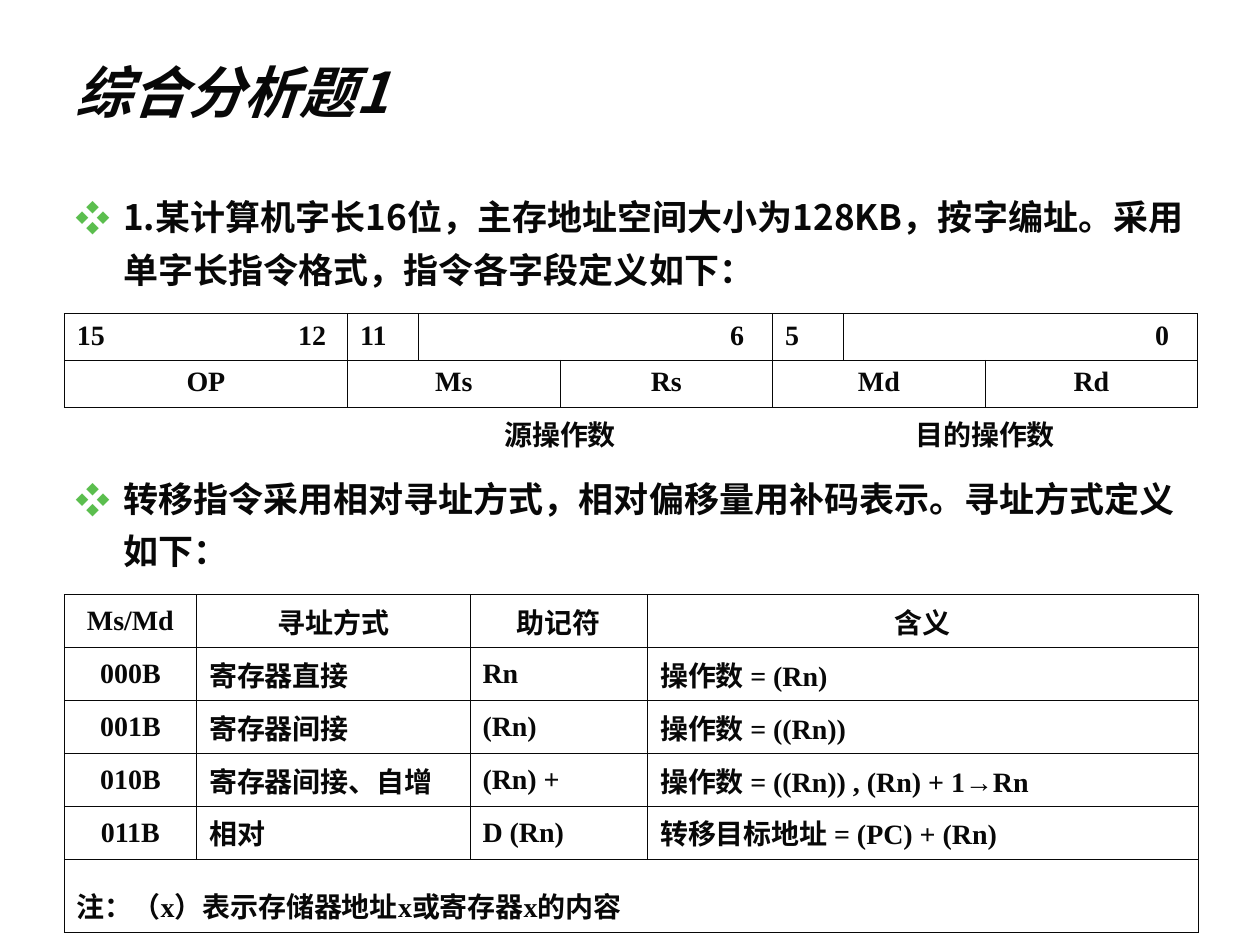
from lxml.etree import SubElement
from pptx import Presentation
from pptx.dml.color import RGBColor
from pptx.enum.text import MSO_ANCHOR, PP_ALIGN
from pptx.oxml.ns import qn
from pptx.util import Inches, Pt

INK, PAPER, BULLET_GREEN = "080808", "FFFFFF", "5BBE4E"
SANS, SERIF = "Noto Sans CJK SC", "Times New Roman"
LEFT, CENTER = PP_ALIGN.LEFT, PP_ALIGN.CENTER
NO_STYLE_NO_GRID = "{2D5ABB26-0587-4C30-8999-92F81FD0307C}"

TITLE_FORMAT = {"size": Pt(32), "name": SANS, "bold": True, "italic": True}
BODY_FORMAT = {"size": Pt(20), "name": SANS, "bold": True}
CELL_FORMAT = {"size": Pt(16), "name": SERIF, "bold": True}

QUESTIONS = [
    ("1.某计算机字长16位，主存地址空间大小为128KB，按字编址。"
     "采用单字长指令格式，指令各字段定义如下：", 0),
    ("转移指令采用相对寻址方式，相对偏移量用补码表示。寻址方式定义如下：", 101),
]

# High bit, low bit and width in columns of each bit range
BIT_RANGES = [("15", "12", 4), ("11", "6", 6), ("5", "0", 6)]

MODE_HEADER = ["Ms/Md", "寻址方式", "助记符", "含义"]
MODES = [
    ["000B", "寄存器直接", "Rn", "操作数 = (Rn)"],
    ["001B", "寄存器间接", "(Rn)", "操作数 = ((Rn))"],
    ["010B", "寄存器间接、自增", "(Rn) +", "操作数 = ((Rn)) , (Rn) + 1→Rn"],
    ["011B", "相对", "D (Rn)", "转移目标地址 = (PC) + (Rn)"],
]
MODE_NOTE = "注：（x）表示存储器地址x或寄存器x的内容"


def color(hex_string):
    return RGBColor.from_string(hex_string)


def add_text(paragraph, text, text_format):
    run = paragraph.add_run()
    run.text = text
    for attribute, value in text_format.items():
        setattr(run.font, attribute, value)
    run.font.color.rgb = color(INK)
    SubElement(run.font._element, qn("a:ea"), typeface=SANS)


def add_bullet(paragraph):
    properties = paragraph._p.get_or_add_pPr()
    properties.set("marL", str(Inches(0.38)))
    properties.set("indent", str(-Inches(0.38)))
    bullet_color = SubElement(properties, qn("a:buClr"))
    SubElement(bullet_color, qn("a:srgbClr"), val=BULLET_GREEN)
    SubElement(properties, qn("a:buFont"), typeface=SANS)
    SubElement(properties, qn("a:buChar"), char="❖")


def add_text_frame(slide, box):
    text_frame = slide.shapes.add_textbox(*box).text_frame
    text_frame.word_wrap = True
    return text_frame


def add_title(slide, box):
    text_frame = add_text_frame(slide, box)
    text_frame.vertical_anchor = MSO_ANCHOR.MIDDLE
    add_text(text_frame.paragraphs[0], "综合分析题1", TITLE_FORMAT)


def add_questions(slide, box):
    text_frame = add_text_frame(slide, box)
    for index, (text, space_before) in enumerate(QUESTIONS):
        paragraph = text_frame.add_paragraph() if index else text_frame.paragraphs[0]
        paragraph.line_spacing = 1.25
        paragraph.space_before = Pt(space_before)
        add_bullet(paragraph)
        add_text(paragraph, text, BODY_FORMAT)


def style_cell(cell, sides):
    properties = cell._tc.get_or_add_tcPr()
    for side in sides:
        line = SubElement(properties, qn(f"a:ln{side}"), w=str(Pt(0.45)))
        fill = SubElement(line, qn("a:solidFill"))
        SubElement(fill, qn("a:srgbClr"), val=INK)
    cell.fill.solid()
    cell.fill.fore_color.rgb = color(PAPER)


def add_grid(slide, box, widths, heights, rows, anchor):
    """Build a table from rows of (text, span, alignment, bordered sides)."""
    table = slide.shapes.add_table(len(heights), len(widths), *box).table
    table._tbl.tblPr.find(qn("a:tableStyleId")).text = NO_STYLE_NO_GRID
    table.first_row = table.horz_banding = False
    for column, width in zip(table.columns, widths):
        column.width = Inches(width)
    for row, height in zip(table.rows, heights):
        row.height = Inches(height)
    for row_index, cells in enumerate(rows):
        start = 0
        for text, span, alignment, sides in cells:
            end = start + span
            for column_index in range(start, end):
                spanned = table.cell(row_index, column_index)
                style_cell(spanned, sides)
                end_format = spanned.text_frame.paragraphs[0]._p.get_or_add_endParaRPr()
                end_format.set("sz", "1600")
            cell = table.cell(row_index, start)
            if span > 1:
                cell.merge(table.cell(row_index, end - 1))
            cell.vertical_anchor = anchor
            paragraph = cell.text_frame.paragraphs[0]
            paragraph.alignment = alignment
            if text:
                add_text(paragraph, text, CELL_FORMAT)
            start = end
    return table


def add_instruction_format(slide, box):
    bits = []
    for high, low, width in BIT_RANGES:
        bits.append((high, 1, LEFT, "LTB"))
        bits += [("", 1, LEFT, "TB")] * (width - 2)
        bits.append((low, 1, CENTER, "RTB"))
    fields = [("OP", 4, CENTER, "LRTB")]
    fields += [(name, 3, CENTER, "LRTB") for name in ("Ms", "Rs", "Md", "Rd")]
    operands = [(text, width, CENTER, "T") for text, (_, _, width)
                in zip(("", "源操作数", "目的操作数"), BIT_RANGES)]
    columns = len(bits)
    add_grid(slide, box, [9 / columns] * columns, [0.37] * 3,
             [bits, fields, operands], MSO_ANCHOR.TOP)


def add_addressing_modes(slide, box):
    rows = [[(text, 1, CENTER, "LRTB") for text in MODE_HEADER]]
    for mode in MODES:
        rows.append([(text, 1, LEFT if index else CENTER, "LRTB")
                     for index, text in enumerate(mode)])
    rows.append([(MODE_NOTE, 4, LEFT, "LRTB")])
    table = add_grid(slide, box, [1.05, 2.17, 1.41, 4.37], [0.42] * 5 + [0.58],
                     rows, MSO_ANCHOR.MIDDLE)
    table.cell(len(rows) - 1, 0).text_frame.paragraphs[0].line_spacing = 1.5


def inch_box(*lengths):
    return [Inches(length) for length in lengths]


def main():
    presentation = Presentation()
    presentation.slide_width, presentation.slide_height = Inches(10), Inches(7.5)
    slide = presentation.slides.add_slide(presentation.slide_layouts[6])
    add_title(slide, inch_box(0.5, 0.25, 9, 0.95))
    add_questions(slide, inch_box(0.5, 1.42, 9, 5.5))
    add_instruction_format(slide, inch_box(0.51, 2.49, 9, 1.11))
    add_addressing_modes(slide, inch_box(0.51, 4.72, 9, 2.68))
    presentation.save("out.pptx")


if __name__ == "__main__":
    main()
